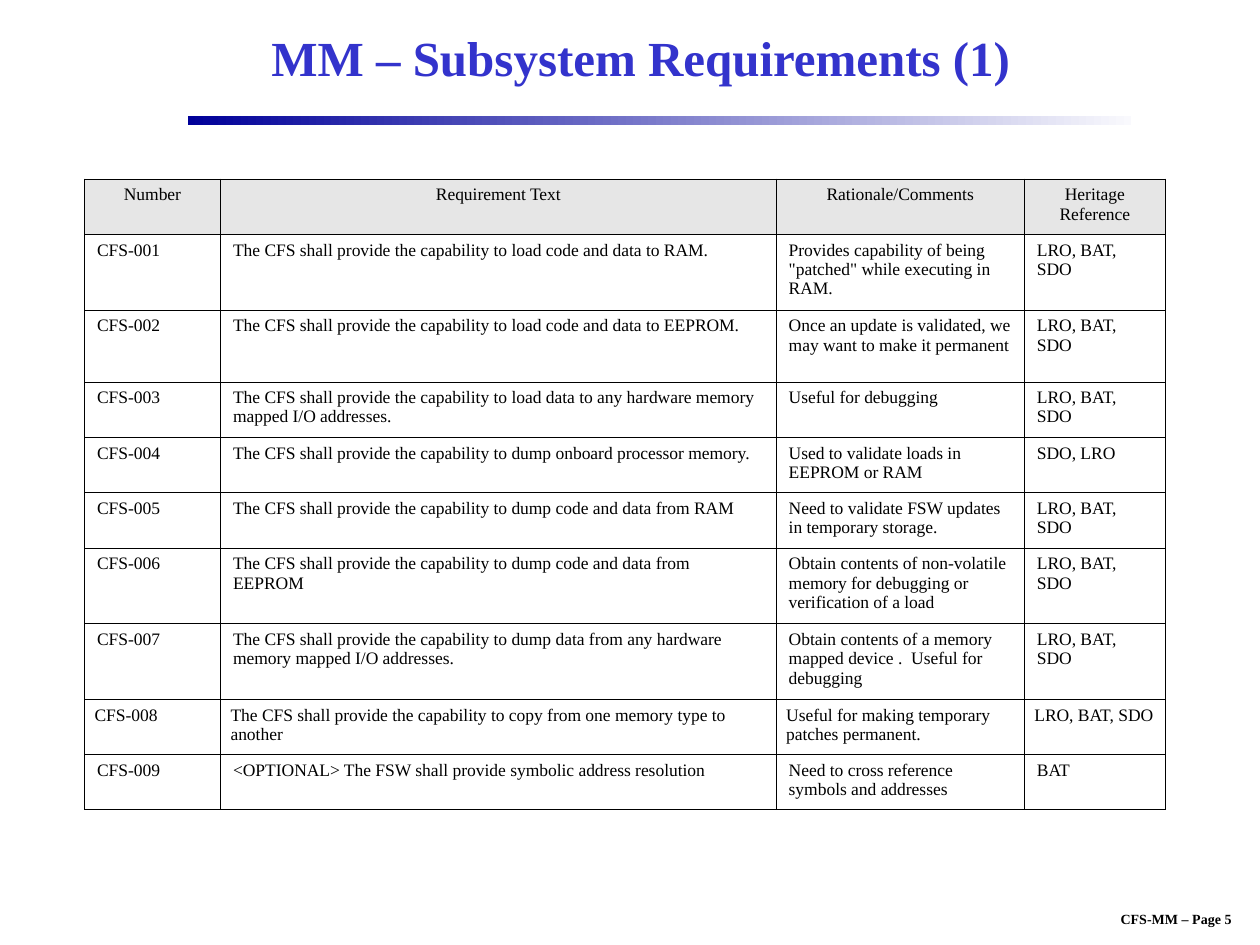
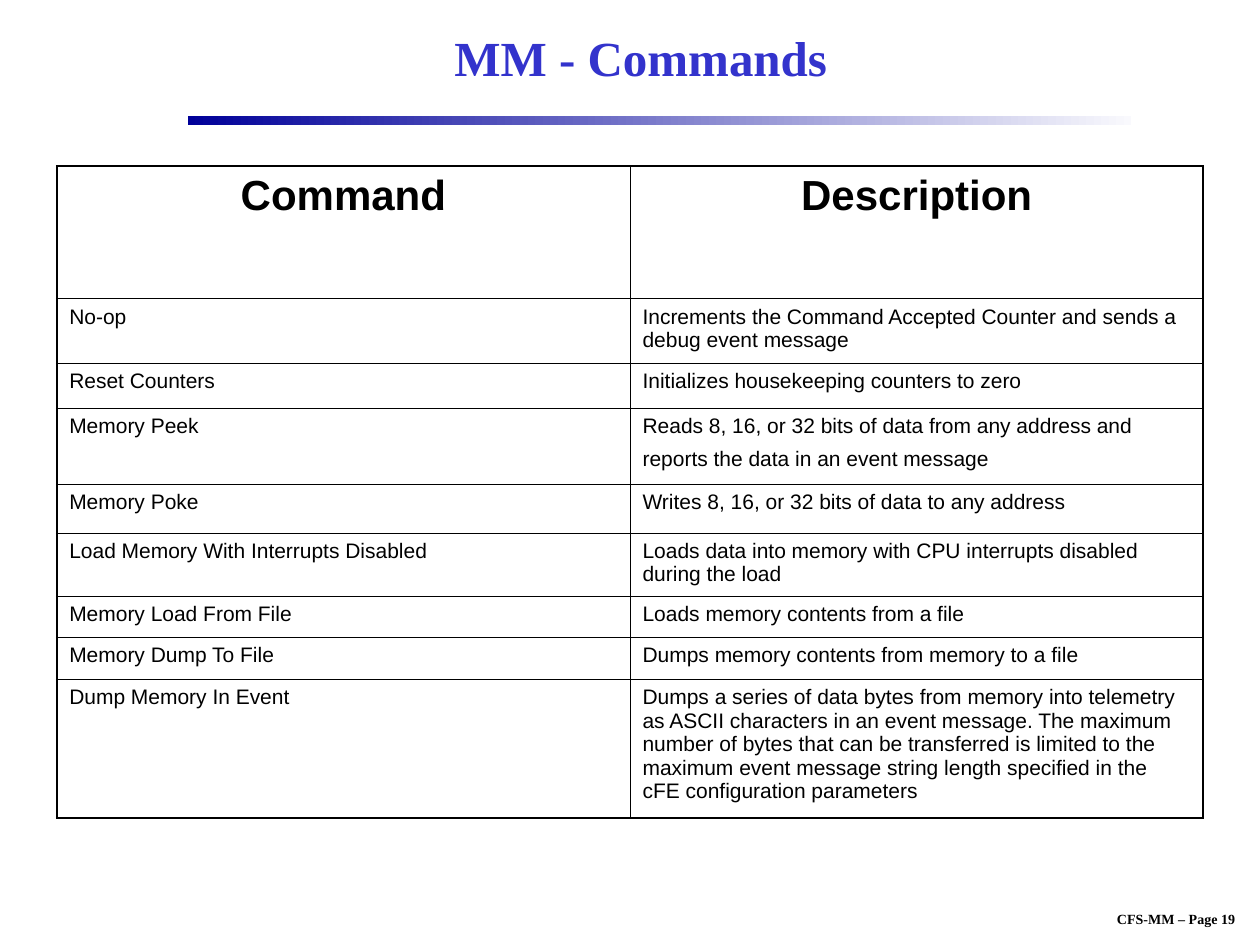
import pptx
import pptx.util
import pptx.dml.color
import pptx.enum.shapes
import pptx.enum.text
import pptx.oxml
import pptx.oxml.ns
from pptx.util import Inches, Pt

RGBColor = pptx.dml.color.RGBColor
ALIGN = pptx.enum.text.PP_ALIGN
ANCHOR = pptx.enum.text.MSO_ANCHOR

BLACK = RGBColor(0x00, 0x00, 0x00)
TITLE_BLUE = RGBColor(0x33, 0x33, 0xCC)
RULE_START = RGBColor(0x00, 0x00, 0x99)
RULE_END = RGBColor(0xF9, 0xF9, 0xFD)
HEADER_GRAY = RGBColor(0xE6, 0xE6, 0xE6)

SERIF = "Times New Roman"
SANS = "Arial"
THIN = 0.45
THICK = 1.08

LRO_BAT_SDO = "LRO, BAT, SDO"
REQUIREMENT_COLUMNS = [1.08, 4.41, 1.97, 1.12]
REQUIREMENT_HEIGHTS = [0.44, 0.6, 0.57, 0.44, 0.44, 0.44, 0.6, 0.6, 0.41, 0.44]
REQUIREMENTS = [
    ("Number", "Requirement Text", "Rationale/Comments", "Heritage Reference"),
    ("CFS-001", "The CFS shall provide the capability to load code and data to RAM.",
     'Provides capability of being "patched" while executing in RAM.', LRO_BAT_SDO),
    ("CFS-002", "The CFS shall provide the capability to load code and data to EEPROM.",
     "Once an update is validated, we may want to make it permanent", LRO_BAT_SDO),
    ("CFS-003", "The CFS shall provide the capability to load data to any hardware "
     "memory mapped I/O addresses.", "Useful for debugging", LRO_BAT_SDO),
    ("CFS-004", "The CFS shall provide the capability to dump onboard processor memory.",
     "Used to validate loads in EEPROM or RAM", "SDO, LRO"),
    ("CFS-005", "The CFS shall provide the capability to dump code and data from RAM",
     "Need to validate FSW updates in temporary storage.", LRO_BAT_SDO),
    ("CFS-006", "The CFS shall provide the capability to dump code and data from EEPROM",
     "Obtain contents of non-volatile memory for debugging or verification of a load",
     LRO_BAT_SDO),
    ("CFS-007", "The CFS shall provide the capability to dump data from any hardware "
     "memory mapped I/O addresses.",
     "Obtain contents of a memory mapped device .  Useful for debugging", LRO_BAT_SDO),
    ("CFS-008", "The CFS shall provide the capability to copy from one memory type to another",
     "Useful for making temporary patches permanent.", LRO_BAT_SDO),
    ("CFS-009", "<OPTIONAL> The FSW shall provide symbolic address resolution",
     "Need to cross reference symbols and addresses", "BAT"),
]

COMMAND_COLUMNS = [4.55, 4.55]
COMMAND_HEIGHTS = [1.05, 0.51, 0.36, 0.6, 0.39, 0.5, 0.33, 0.33, 1.1]
COMMANDS = [
    ("Command", "Description"),
    ("No-op", "Increments the Command Accepted Counter and sends a debug event message"),
    ("Reset Counters", "Initializes housekeeping counters to zero"),
    ("Memory Peek", "Reads 8, 16, or 32 bits of data from any address and "
     "reports the data in an event message"),
    ("Memory Poke", "Writes 8, 16, or 32 bits of data to any address"),
    ("Load Memory With Interrupts Disabled",
     "Loads data into memory with CPU interrupts disabled during the load"),
    ("Memory Load From File", "Loads memory contents from a file"),
    ("Memory Dump To File", "Dumps memory contents from memory to a file"),
    ("Dump Memory In Event",
     "Dumps a series of data bytes from memory into telemetry as ASCII characters in an "
     "event message. The maximum number of bytes that can be transferred is limited to the "
     "maximum event message string length specified in the cFE configuration parameters"),
]


class Deck:
    """Holds the shared style and the slide being built."""

    def __init__(self):
        self.presentation = pptx.Presentation()
        self.presentation.slide_width = Inches(10)
        self.presentation.slide_height = Inches(7.5)
        self.slide = None

    def add_slide(self, title, page):
        self.slide = self.presentation.slides.add_slide(self.presentation.slide_layouts[6])
        self.add_text(f"CFS-MM – Page {page}", (8.57, 7.18, 1.53, 0.23), 8, BLACK, wrap=False)
        self.add_title_rule()
        self.add_text(title, (1.5, 0.08, 7.17, 0.75), 28, TITLE_BLUE, anchor=ANCHOR.MIDDLE)

    def add_run(self, paragraph, text, size, font=SERIF, color=BLACK, bold=False):
        run = paragraph.add_run()
        run.text = text
        run.font.name = font
        run.font.size = Pt(size)
        run.font.bold = bold
        run.font.color.rgb = color

    def add_text(self, text, box, size, color, wrap=True, anchor=ANCHOR.TOP):
        frame = self.slide.shapes.add_textbox(*map(Inches, box)).text_frame
        frame.word_wrap = wrap
        frame.vertical_anchor = anchor
        paragraph = frame.paragraphs[0]
        paragraph.alignment = ALIGN.CENTER
        self.add_run(paragraph, text, size, color=color, bold=True)

    def add_title_rule(self):
        rule = self.slide.shapes.add_shape(
            pptx.enum.shapes.MSO_SHAPE.RECTANGLE,
            Inches(1.49), Inches(0.92), Inches(7.49), Inches(0.07))
        rule.shadow.inherit = False
        rule.line.fill.background()
        rule.fill.gradient()
        rule.fill.gradient_angle = 0
        for stop, color, position in zip(rule.fill.gradient_stops, (RULE_START, RULE_END), (0, 1)):
            stop.color.rgb = color
            stop.position = position

    def add_table(self, rows, position, widths, heights, font, size, header_size,
                  header_bold=False, header_fill=None, frame_width=THIN):
        """Draw a table whose first row is the header and whose outer edge is frame_width."""
        left, top = position
        table = self.slide.shapes.add_table(
            len(rows), len(widths), Inches(left), Inches(top),
            Inches(sum(widths)), Inches(sum(heights))).table
        table.first_row = False
        table.horz_banding = False
        for column, width in zip(table.columns, widths):
            column.width = Inches(width)
        last_row, last_column = len(rows) - 1, len(widths) - 1
        for r, texts in enumerate(rows):
            table.rows[r].height = Inches(heights[r])
            is_header = r == 0
            for c, text in enumerate(texts):
                cell = table.cell(r, c)
                cell.margin_left = cell.margin_right = Inches(0.1)
                cell.margin_top = cell.margin_bottom = Inches(0.05)
                outer = {"L": c == 0, "R": c == last_column, "T": r == 0, "B": r == last_row}
                for side, is_outer in outer.items():
                    self.set_border(cell, side, frame_width if is_outer else THIN)
                if is_header and header_fill is not None:
                    cell.fill.solid()
                    cell.fill.fore_color.rgb = header_fill
                else:
                    cell.fill.background()
                paragraph = cell.text_frame.paragraphs[0]
                paragraph.alignment = ALIGN.CENTER if is_header else ALIGN.LEFT
                self.add_run(paragraph, text, header_size if is_header else size,
                             font, bold=is_header and header_bold)
        return table

    def set_border(self, cell, side, width):
        """Add one cell edge; call before the cell's fill is set."""
        cell._tc.get_or_add_tcPr().append(pptx.oxml.parse_xml(
            f'<a:ln{side} {pptx.oxml.ns.nsdecls("a")} w="{int(Pt(width))}">'
            f'<a:solidFill><a:srgbClr val="{BLACK}"/></a:solidFill></a:ln{side}>'))


def add_requirements_slide(deck):
    deck.add_slide("MM – Subsystem Requirements (1)", 5)
    table = deck.add_table(REQUIREMENTS, (0.67, 1.42), REQUIREMENT_COLUMNS, REQUIREMENT_HEIGHTS,
                           SERIF, size=10, header_size=10, header_fill=HEADER_GRAY)
    copy_requirement = table.rows[8]
    for cell in copy_requirement.cells:
        cell.margin_left = cell.margin_right = Inches(0.08)


def add_commands_slide(deck):
    deck.add_slide("MM - Commands", 19)
    table = deck.add_table(COMMANDS, (0.45, 1.32), COMMAND_COLUMNS, COMMAND_HEIGHTS,
                           SANS, size=12, header_size=24, header_bold=True, frame_width=THICK)
    # The larger closing space makes the second line of this cell taller.
    peek_description = table.cell(3, 1).text_frame.paragraphs[0]
    deck.add_run(peek_description, " ", 18, SANS, bold=True)


def main():
    deck = Deck()
    add_requirements_slide(deck)
    add_commands_slide(deck)
    deck.presentation.save("out.pptx")


if __name__ == "__main__":
    main()
